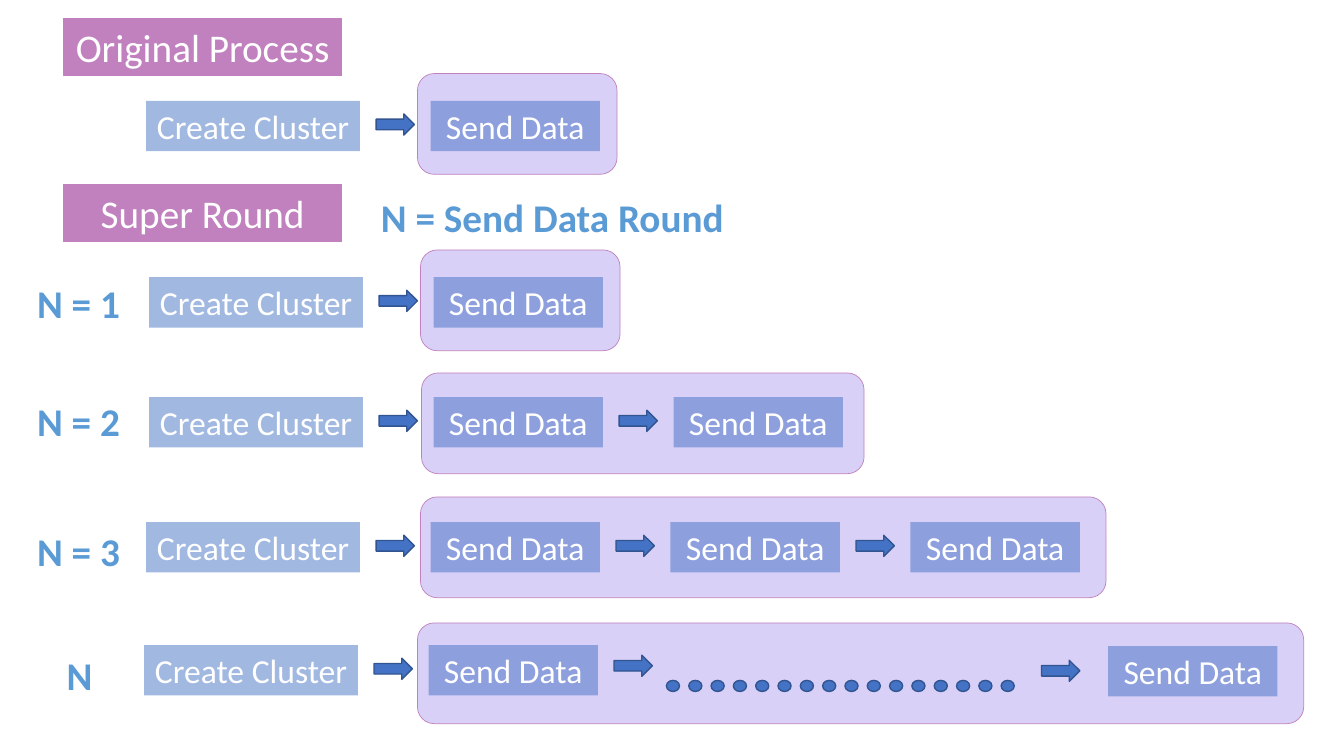
from dataclasses import dataclass

from lxml.etree import SubElement
from pptx import Presentation
from pptx.dml.color import RGBColor
from pptx.enum.shapes import MSO_SHAPE
from pptx.enum.text import MSO_ANCHOR, MSO_AUTO_SIZE, PP_ALIGN
from pptx.oxml.ns import qn
from pptx.util import Inches, Pt

TITLE = "Original Process"
SECTION = "Super Round"
LEGEND = "N = Send Data Round"
CREATE, SEND = "Create Cluster", "Send Data"

# Panel (left, top, width), top left of the create box, number of sends in a run
ROUNDS = [
    {"panel": (4.14, 0.73, 1.98), "start": (1.45, 1.0), "sends": 1},
    {"panel": (4.17, 2.48, 1.98), "start": (1.48, 2.75), "sends": 1},
    {"panel": (4.18, 3.7, 4.39), "start": (1.48, 3.94), "sends": 2},
    {"panel": (4.17, 4.93, 6.8), "start": (1.45, 5.18), "sends": 3},
    {"panel": (4.14, 6.18, 8.79), "start": (1.43, 6.4), "sends": 1},
]
LABELS = [
    ("N = 1", 0.27, 2.72, 1.1, PP_ALIGN.LEFT),
    ("N = 2", 0.27, 3.89, 1.1, PP_ALIGN.LEFT),
    ("N = 3", 0.27, 5.18, 1.1, PP_ALIGN.LEFT),
    ("N", 0.24, 6.41, 1.1, PP_ALIGN.CENTER),
    (LEGEND, 3.68, 1.87, 3.75, PP_ALIGN.LEFT),
]
LAST_ARROWS = [(6.09, 6.5), (10.33, 6.55)]
LAST_SEND = (10.99, 6.41)
DOTS, FIRST_DOT, LAST_DOT, DOT_TOP = 16, 6.61, 9.93, 6.75

CREATE_WIDTH, SEND_WIDTH, BOX_HEIGHT = 2.12, 1.68, 0.5
ARROW_GAP, ARROW_DROP = 0.16, 0.13
FIRST_SEND_OFFSET, SEND_PITCH = 2.82, 2.38


@dataclass(frozen=True)
class Theme:
    font: str = "Calibri"
    heading_size: int = 28
    box_size: int = 24
    heading: str = "C181BE"
    panel: str = "D8D0F7"
    blue: str = "4472C4"
    blue_edge: str = "325491"
    label: str = "5B9BD5"
    white: str = "FFFFFF"


THEME = Theme()


def paint(shape, fill, edge=None, edge_width=0.5):
    shape.fill.solid()
    shape.fill.fore_color.rgb = RGBColor.from_string(fill)
    if edge:
        shape.line.color.rgb = RGBColor.from_string(edge)
        shape.line.width = Pt(edge_width)
    else:
        shape.line.fill.background()


def write(shape, text, size, color, align=PP_ALIGN.CENTER, bold=False):
    frame = shape.text_frame
    frame.text = text
    frame.auto_size = MSO_AUTO_SIZE.NONE
    frame.word_wrap = False
    frame.vertical_anchor = MSO_ANCHOR.MIDDLE
    paragraph = frame.paragraphs[0]
    paragraph.alignment = align
    font = paragraph.runs[0].font
    font.name, font.size, font.bold = THEME.font, Pt(size), bold
    font.color.rgb = RGBColor.from_string(color)
    return font


def add_block(slide, kind, left, top, width, height, fill, edge=None, edge_width=0.5):
    block = slide.shapes.add_shape(
        kind, Inches(left), Inches(top), Inches(width), Inches(height))
    block.shadow.inherit = False
    paint(block, fill, edge, edge_width)
    return block


def add_step(slide, text, left, top, width):
    """Add a half-transparent process box."""
    step = add_block(slide, MSO_SHAPE.RECTANGLE, left, top, width, BOX_HEIGHT, THEME.blue)
    color = step.fill._xPr.find(qn("a:solidFill"))[0]
    SubElement(color, qn("a:alpha"), val="50000")
    write(step, text, THEME.box_size, THEME.white)


def add_arrow(slide, left, top):
    add_block(slide, MSO_SHAPE.RIGHT_ARROW, left, top, 0.38, 0.21,
              THEME.blue, THEME.blue_edge, 1)


def add_round(slide, panel, start, sends):
    """Add the panel, the create box and its run of sends, each after an arrow."""
    panel_left, panel_top, panel_width = panel
    left, top = start
    add_block(slide, MSO_SHAPE.ROUNDED_RECTANGLE, panel_left, panel_top, panel_width, 1,
              THEME.panel, THEME.heading)
    add_step(slide, CREATE, left, top, CREATE_WIDTH)
    for index in range(sends):
        send_left = left + FIRST_SEND_OFFSET + index * SEND_PITCH
        add_arrow(slide, send_left - 0.38 - ARROW_GAP, top + ARROW_DROP)
        add_step(slide, SEND, send_left, top, SEND_WIDTH)


def add_label(slide, text, left, top, width, align):
    """Add a bold label with a thin white outline round its letters."""
    label = slide.shapes.add_textbox(Inches(left), Inches(top), Inches(width), Inches(0.57))
    font = write(label, text, THEME.heading_size, THEME.label, align, bold=True)
    label.text_frame.word_wrap = True
    font.color.rgb = RGBColor.from_string(THEME.label)
    outline = SubElement(font._rPr, qn("a:ln"), w=str(Pt(0.75)))
    fill = SubElement(outline, qn("a:solidFill"))
    SubElement(fill, qn("a:srgbClr"), val=THEME.white)
    font._rPr.insert(0, outline)


def main():
    presentation = Presentation()
    presentation.slide_width, presentation.slide_height = Inches(13.33), Inches(7.5)
    slide = presentation.slides.add_slide(presentation.slide_layouts[5])

    title = slide.shapes.title
    title.left, title.top = Inches(0.63), Inches(0.18)
    title.width, title.height = Inches(2.76), Inches(0.57)
    paint(title, THEME.heading, THEME.heading)
    write(title, TITLE, THEME.heading_size, THEME.white)
    section = add_block(slide, MSO_SHAPE.RECTANGLE, 0.63, 1.83, 2.76, 0.57,
                        THEME.heading, THEME.heading)
    write(section, SECTION, THEME.heading_size, THEME.white)

    for item in ROUNDS:
        add_round(slide, **item)
    for left, top in LAST_ARROWS:
        add_arrow(slide, left, top)
    add_step(slide, SEND, *LAST_SEND, SEND_WIDTH)

    dot_pitch = (LAST_DOT - FIRST_DOT) / (DOTS - 1)
    for index in range(DOTS):
        add_block(slide, MSO_SHAPE.OVAL, FIRST_DOT + index * dot_pitch, DOT_TOP, 0.13, 0.11,
                  THEME.blue, THEME.blue_edge, 1)
    for label in LABELS:
        add_label(slide, *label)

    presentation.save("out.pptx")


if __name__ == "__main__":
    main()
